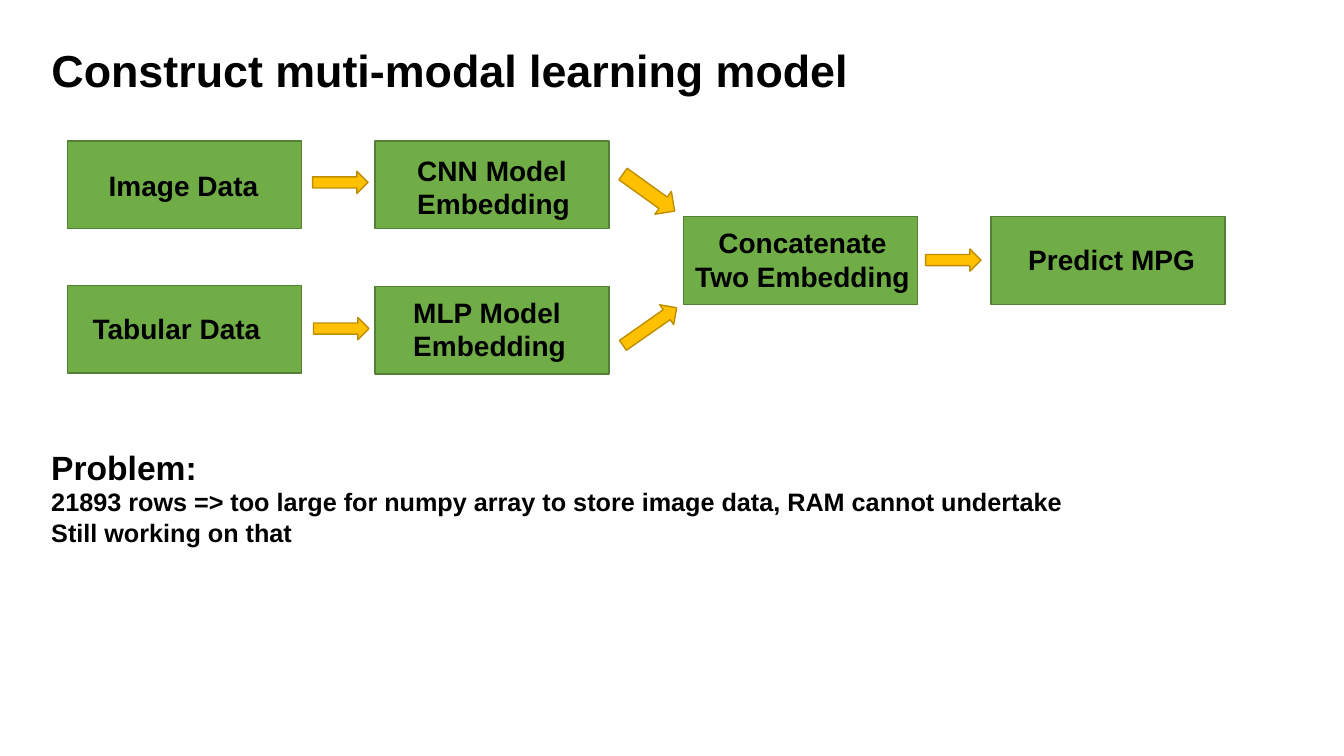
from pptx import Presentation
from pptx.dml.color import RGBColor
from pptx.enum.shapes import MSO_SHAPE
from pptx.enum.text import MSO_ANCHOR, MSO_AUTO_SIZE, PP_ALIGN
from pptx.util import Emu, Pt

RECT, ARROW = MSO_SHAPE.RECTANGLE, MSO_SHAPE.RIGHT_ARROW
LEFT, CENTER = PP_ALIGN.LEFT, PP_ALIGN.CENTER
TOP, FIXED = MSO_ANCHOR.TOP, MSO_AUTO_SIZE.NONE
BLACK = RGBColor(0x00, 0x00, 0x00)
GREEN = RGBColor(0x70, 0xAD, 0x47)
MOSS = RGBColor(0x53, 0x80, 0x35)
GOLD = RGBColor(0xFF, 0xC0, 0x00)
OCHRE = RGBColor(0xBD, 0x8E, 0x00)
SCALE = 9144


def px(*sizes):
    return [Emu(size * SCALE) for size in sizes]


class Deck:
    """Draws styled elements on the current slide, with 100 px to the inch."""

    font = "Arial"

    def __init__(self, width, height):
        self.file = Presentation()
        self.file.slide_width, self.file.slide_height = px(width, height)
        self.slide = self.file.slides.add_slide(self.file.slide_layouts[5])

    def fill_text(self, frame, lines, align):
        frame.word_wrap = True
        frame.auto_size = FIXED
        frame.vertical_anchor = TOP
        for i, (words, size) in enumerate(lines):
            para = frame.add_paragraph() if i else frame.paragraphs[0]
            para.alignment = align
            run = para.add_run()
            run.text = words
            run.font.name = self.font
            run.font.size = Pt(size)
            run.font.bold = True
            run.font.color.rgb = BLACK

    def title(self, box, words):
        head = self.slide.shapes.title
        head.left, head.top, head.width, head.height = px(*box)
        self.fill_text(head.text_frame, [(words, 32)], LEFT)

    def text(self, box, lines, align=LEFT):
        note = self.slide.shapes.add_textbox(*px(*box))
        self.fill_text(note.text_frame, lines, align)

    def shape(self, kind, box, fill, line, turn=0):
        form = self.slide.shapes.add_shape(kind, *px(*box))
        form.shadow.inherit = False
        form.fill.solid()
        form.fill.fore_color.rgb = fill
        form.line.color.rgb = line
        form.line.width = Pt(1)
        form.rotation = turn

    def block(self, left, top):
        self.shape(RECT, (left, top, 232, 87), GREEN, MOSS)

    def arrow(self, left, top, width=55, height=22, turn=0):
        self.shape(ARROW, (left, top, width, height), GOLD, OCHRE, turn)


def main():
    deck = Deck(1333, 750)
    deck.title((41, 37, 817, 64), "Construct muti-modal learning model")

    steps = [
        (67, 140, (98, 162, 170, 44), "Image Data", LEFT),
        (67, 283, (82, 304, 201, 44), "Tabular Data", LEFT),
        (372, 140, (404, 147, 176, 77), "CNN Model Embedding", LEFT),
        (372, 284, (400, 288, 184, 77), "MLP Model Embedding", LEFT),
        (678, 215, (676, 219, 240, 77), "Concatenate Two Embedding", CENTER),
        (983, 215, (1010, 236, 216, 44), "Predict MPG", LEFT),
    ]
    for left, top, box, words, align in steps:
        deck.block(left, top)
        deck.text(box, [(words, 20)], align)

    for left, top in [(310, 170), (311, 315), (918, 247)]:
        deck.arrow(left, top)
    deck.arrow(612, 177, 63, 28, 35.7)
    deck.arrow(612, 312, 65, 24, 325)

    deck.text((41, 438, 1028, 111), [
        ("Problem:", 24),
        ("21893 rows => too large for numpy array to store image data, "
         "RAM cannot undertake", 18),
        ("Still working on that", 18),
    ])
    deck.file.save("out.pptx")


if __name__ == "__main__":
    main()
